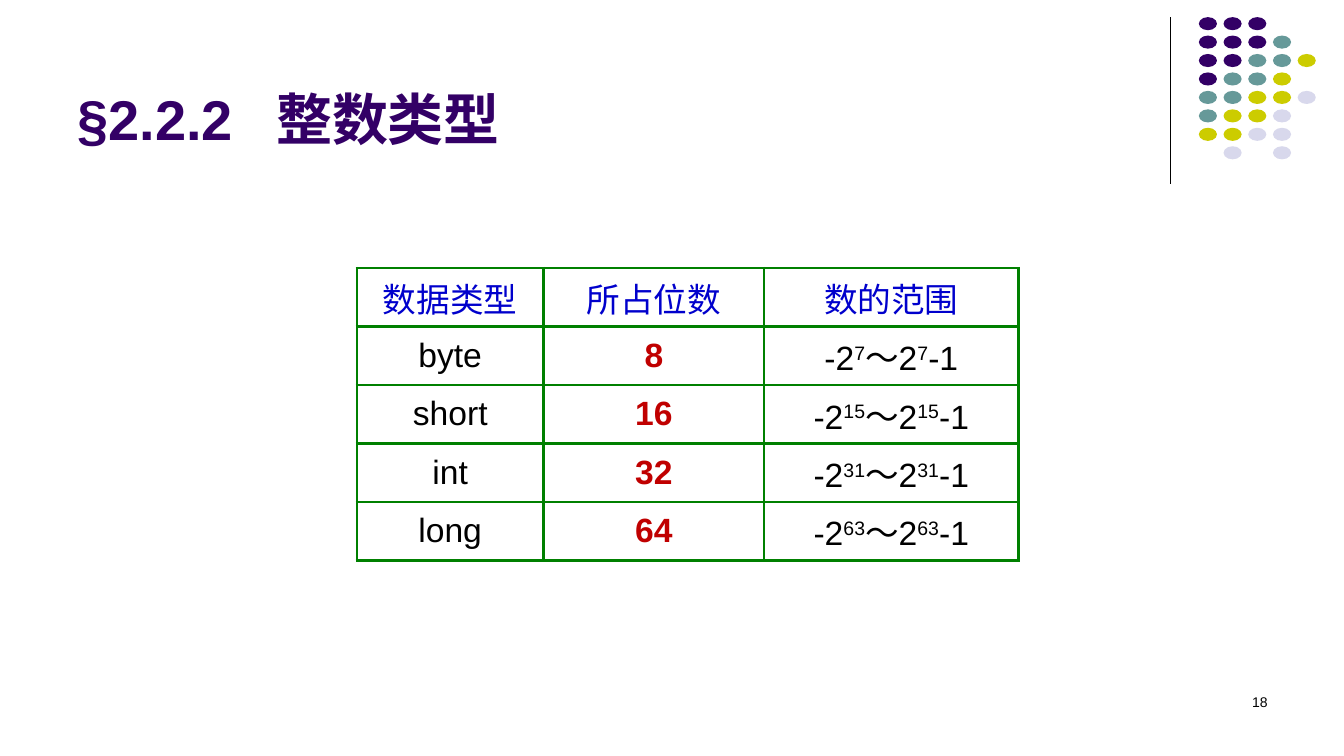
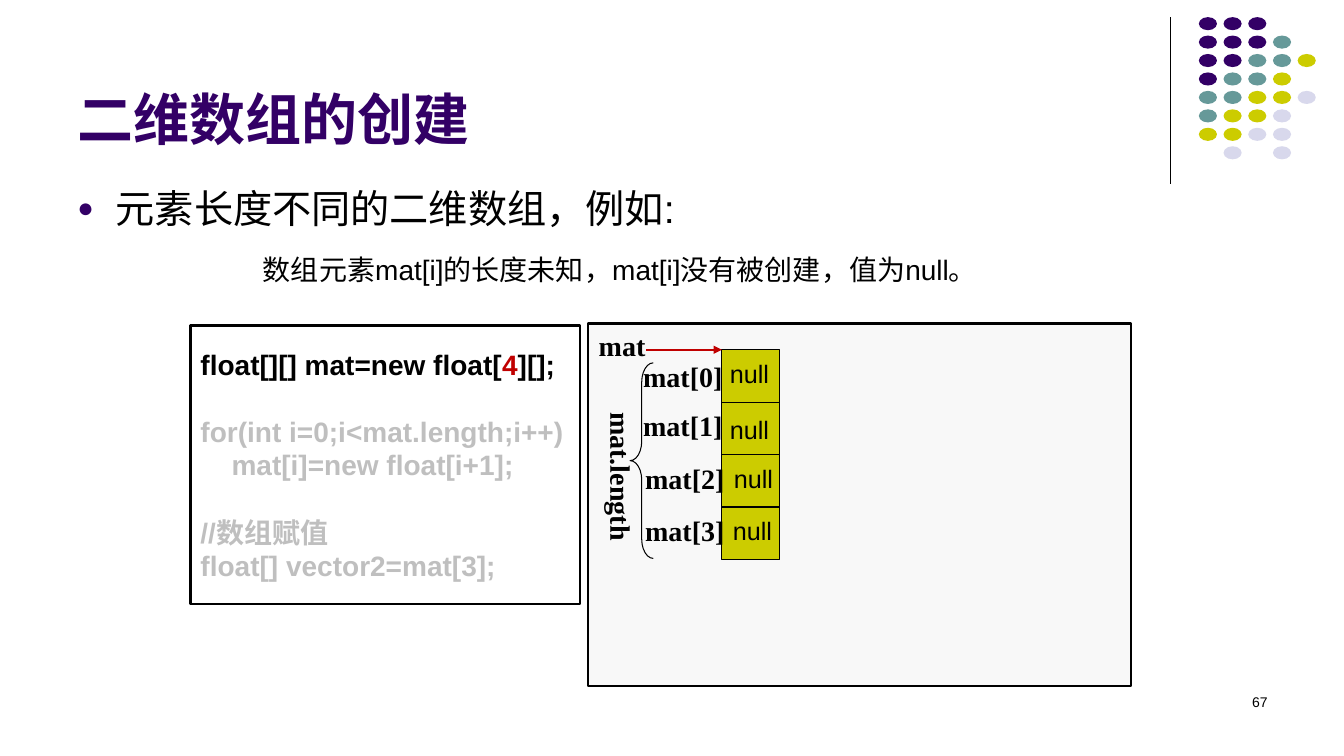
from pptx import Presentation
from pptx.dml.color import RGBColor
from pptx.enum.shapes import MSO_CONNECTOR, MSO_SHAPE
from pptx.enum.text import MSO_ANCHOR, PP_ALIGN
from pptx.oxml.ns import qn
from pptx.util import Inches, Pt
from lxml import etree

OVAL, RECT, BRACE = MSO_SHAPE.OVAL, MSO_SHAPE.RECTANGLE, MSO_SHAPE.LEFT_BRACE
STRAIGHT = MSO_CONNECTOR.STRAIGHT
TOP, MIDDLE, BOTTOM = MSO_ANCHOR.TOP, MSO_ANCHOR.MIDDLE, MSO_ANCHOR.BOTTOM
LEFT, CENTER, RIGHT = PP_ALIGN.LEFT, PP_ALIGN.CENTER, PP_ALIGN.RIGHT

SANS, SERIF, CJK = "Arial", "Times New Roman", "Noto Sans CJK SC"
BLACK, PURPLE, TEAL, LIME, PALE = "000000", "330066", "669999", "CCCC00", "D8D8EC"
RED, BLUE, GREEN, GRAY, PANEL = "C00000", "0000CC", "008000", "BFBFBF", "F8F8F8"
DOT_COLORS = {"p": PURPLE, "t": TEAL, "l": LIME, "w": PALE}
DOT_ROWS = ["ppp", "pppt", "ppttl", "pttl", "ttllw", "tllw", "llww", " w w"]


def rgb(color):
    return RGBColor.from_string(color)


def inches(*lengths):
    return [Inches(length) for length in lengths]


def add_child(parent, tag, **attributes):
    return etree.SubElement(parent, qn(tag), attributes)


def add_span(para, text, size, color=BLACK, bold=False, font=SANS, raised=False):
    span = para.add_run()
    span.text = text
    span.font.size = Pt(size)
    span.font.bold = bold
    span.font.color.rgb = rgb(color)
    span.font.name = font
    properties = span.font._element
    add_child(properties, "a:ea", typeface=CJK)
    if raised:
        properties.set("baseline", "30000")


def add_text(page, box, text, size, align=LEFT, anchor=TOP, wrap=True, **style):
    shape = page.shapes.add_textbox(*inches(*box))
    frame = shape.text_frame
    frame.word_wrap = wrap
    frame.vertical_anchor = anchor
    para = frame.paragraphs[0]
    para.alignment = align
    add_span(para, text, size, **style)
    return shape


def add_box(shapes, kind, box, fill=None, line=None, width=0.75):
    shape = shapes.add_shape(kind, *inches(*box))
    shape.shadow.inherit = False
    if fill:
        shape.fill.solid()
        shape.fill.fore_color.rgb = rgb(fill)
    else:
        shape.fill.background()
    if line:
        shape.line.color.rgb = rgb(line)
        shape.line.width = Pt(width)
    else:
        shape.line.fill.background()
    return shape


def add_line(page, start, end, color, width, arrow=False):
    line = page.shapes.add_connector(STRAIGHT, *inches(*start, *end))
    line.line.color.rgb = rgb(color)
    line.line.width = Pt(width)
    properties = line._element.spPr
    if arrow:
        add_child(properties.find(qn("a:ln")), "a:tailEnd", type="triangle")
    add_child(properties, "a:effectLst")


def add_dots(page, left, top):
    dots = page.shapes.add_group_shape()
    for row, letters in enumerate(DOT_ROWS):
        for column, letter in enumerate(letters):
            if letter in DOT_COLORS:
                box = (left + 0.245 * column, top + 0.183 * row, 0.18, 0.13)
                add_box(dots.shapes, OVAL, box, DOT_COLORS[letter])


def add_page(deck, title, number):
    page = deck.slides.add_slide(deck.slide_layouts[6])
    add_line(page, (11.61, 0.17), (11.61, 1.83), BLACK, 0.75)
    add_dots(page, 11.89, 0.17)
    heading = add_text(page, (0.67, 0.13, 11, 1.42), title, 40,
                       anchor=BOTTOM, color=PURPLE, bold=True)
    properties = heading.text_frame.paragraphs[0]._p.get_or_add_pPr()
    stops = add_child(properties, "a:tabLst")
    add_child(stops, "a:tab", pos=str(Inches(1.97)), algn="l")
    add_text(page, (9.56, 6.83, 3.11, 0.5), str(number), 10, align=RIGHT)
    return page


def style_cell(cell):
    properties = cell._tc.get_or_add_tcPr()
    for side in ("a:lnL", "a:lnR", "a:lnT", "a:lnB"):
        border = add_child(properties, side, w=str(Pt(2)))
        add_child(add_child(border, "a:solidFill"), "a:srgbClr", val=GREEN)
    cell.fill.background()
    cell.vertical_anchor = MIDDLE
    para = cell.text_frame.paragraphs[0]
    para.alignment = CENTER
    return para


def add_type_table(page, left, top):
    headers = ["数据类型", "所占位数", "数的范围"]
    types = [("byte", 8), ("short", 16), ("int", 32), ("long", 64)]
    widths, height = [1.85, 2.19, 2.52], 0.58
    count = len(types) + 1
    table = page.shapes.add_table(
        count, len(widths), *inches(left, top, sum(widths), height * count)).table
    table.first_row = table.horz_banding = False
    for column, width in zip(table.columns, widths):
        column.width = Inches(width)
    for row in table.rows:
        row.height = Inches(height)
    for column, header in enumerate(headers):
        add_span(style_cell(table.cell(0, column)), header, 24, BLUE)
    for row, (name, bits) in enumerate(types, 1):
        name_para, bits_para, range_para = [
            style_cell(table.cell(row, column)) for column in range(3)]
        add_span(name_para, name, 24)
        add_span(bits_para, str(bits), 24, RED, True)
        power = str(bits - 1)
        for text in ("-2", power, "～2", power, "-1"):
            add_span(range_para, text, 24, raised=text == power)


def add_bullet(page, box, text):
    para = add_text(page, box, text, 28).text_frame.paragraphs[0]
    properties = para._p.get_or_add_pPr()
    properties.set("marL", str(Inches(0.38)))
    properties.set("indent", str(Inches(-0.38)))
    add_child(add_child(properties, "a:buClr"), "a:srgbClr", val=PURPLE)
    add_child(properties, "a:buSzPct", val="70000")
    add_child(properties, "a:buFont", typeface=SANS)
    add_child(properties, "a:buChar", char="●")


def add_code(page, box):
    lines = [
        (0, [("float[][] mat=new float[", BLACK), ("4", RED), ("][];", BLACK)]),
        (24, [("for(int i=0;i<mat.length;i++)", GRAY)]),
        (0, [("    mat[i]=new float[i+1];", GRAY)]),
        (24, [("//数组赋值", GRAY)]),
        (0, [("float[] vector2=mat[3];", GRAY)]),
    ]
    frame = add_box(page.shapes, RECT, box, line=BLACK, width=1.5).text_frame
    frame.word_wrap = False
    frame.vertical_anchor = MIDDLE
    for index, (gap, spans) in enumerate(lines):
        para = frame.add_paragraph() if index else frame.paragraphs[0]
        para.alignment = LEFT
        if gap:
            para.space_before = Pt(gap)
        for text, color in spans:
            add_span(para, text, 20, color, True)


def add_memory(page, box):
    left, top = box[:2]
    cell_left, cell_top, cell_height = left + 1.33, top + 0.26, 0.52
    label = {"size": 20, "font": SERIF, "bold": True, "wrap": False}
    add_box(page.shapes, RECT, box, PANEL, BLACK, 1.5)
    add_text(page, (left + 0.01, top, 0.73, 0.44), "mat", **label)
    brace = add_box(page.shapes, BRACE, (left + 0.42, top + 0.39, 0.23, 1.94), line=BLACK)
    brace.adjustments[0] = 0.834
    length = add_text(page, (left + 0.01, top + 0.78, 0.54, 1.49), "mat.length", **label)
    length.text_frame._txBody.bodyPr.set("vert", "eaVert")
    offsets = [(0.45, 0.31, 1.31, 0.3), (0.45, 0.79, 1.31, 0.85),
               (0.47, 1.32, 1.35, 1.34), (0.47, 1.84, 1.34, 1.85)]
    for index, (name_x, name_y, value_x, value_y) in enumerate(offsets):
        cell = (cell_left, cell_top + cell_height * index, 0.57, cell_height)
        add_box(page.shapes, RECT, cell, LIME, BLACK)
        add_text(page, (left + name_x, top + name_y, 1, 0.44), f"mat[{index}]", **label)
        add_text(page, (left + value_x, top + value_y, 0.59, 0.4), "null", 18, wrap=False)
    add_line(page, (left + 0.58, cell_top), (cell_left, cell_top), RED, 1.5, arrow=True)


def add_integer_page(deck):
    page = add_page(deck, "§2.2.2\t整数类型", 18)
    add_type_table(page, 3.54, 2.66)


def add_array_page(deck):
    page = add_page(deck, "二维数组的创建", 67)
    add_bullet(page, (0.67, 1.78, 12, 0.66), "元素长度不同的二维数组，例如:")
    add_code(page, (1.89, 3.23, 3.86, 2.76))
    add_memory(page, (5.83, 3.21, 5.39, 3.6))
    add_text(page, (2.51, 2.46, 8.13, 0.44),
             "数组元素mat[i]的长度未知，mat[i]没有被创建，值为null。", 20)


def main():
    deck = Presentation()
    deck.slide_width, deck.slide_height = inches(13.33, 7.5)
    add_integer_page(deck)
    add_array_page(deck)
    deck.save("out.pptx")


if __name__ == "__main__":
    main()
